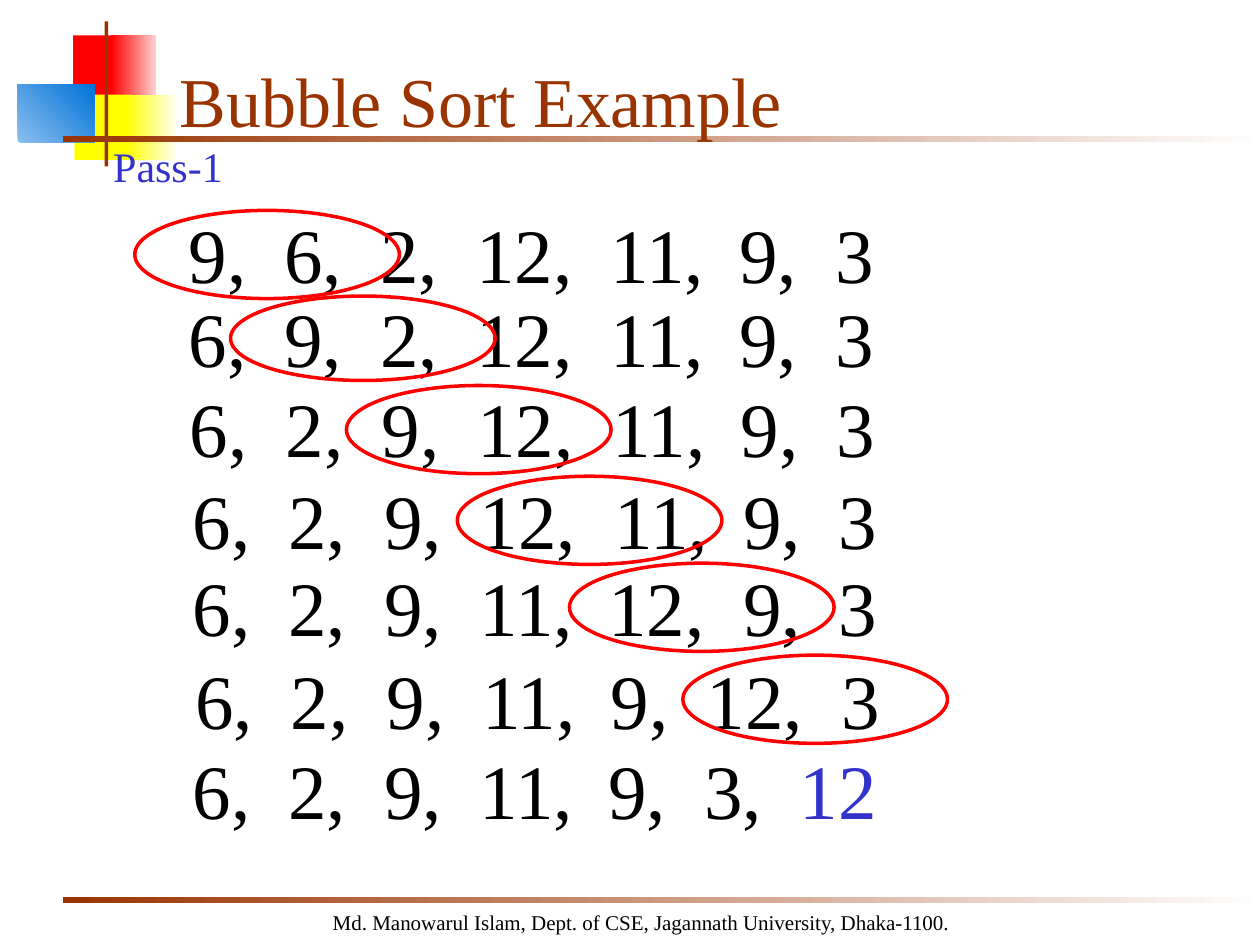
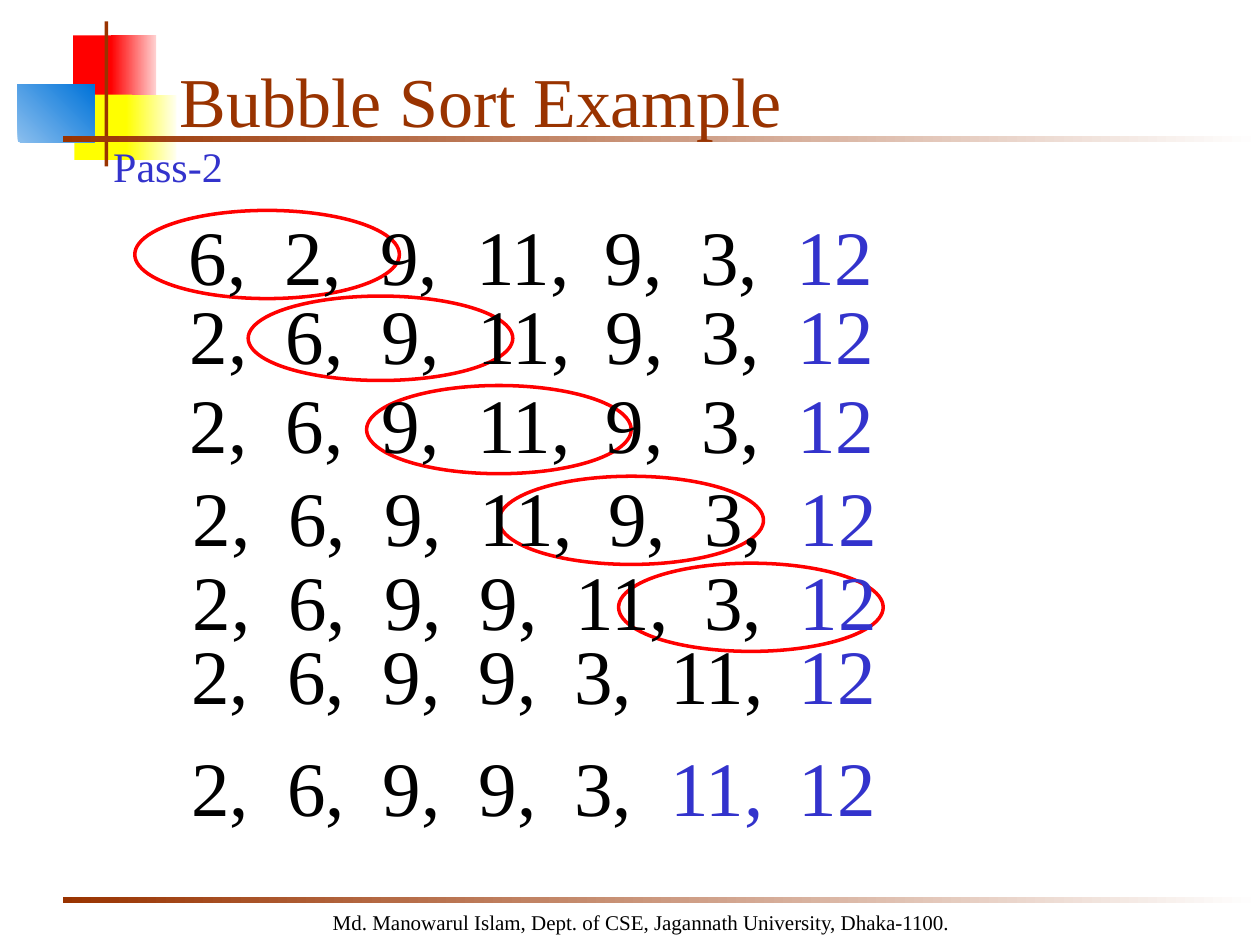
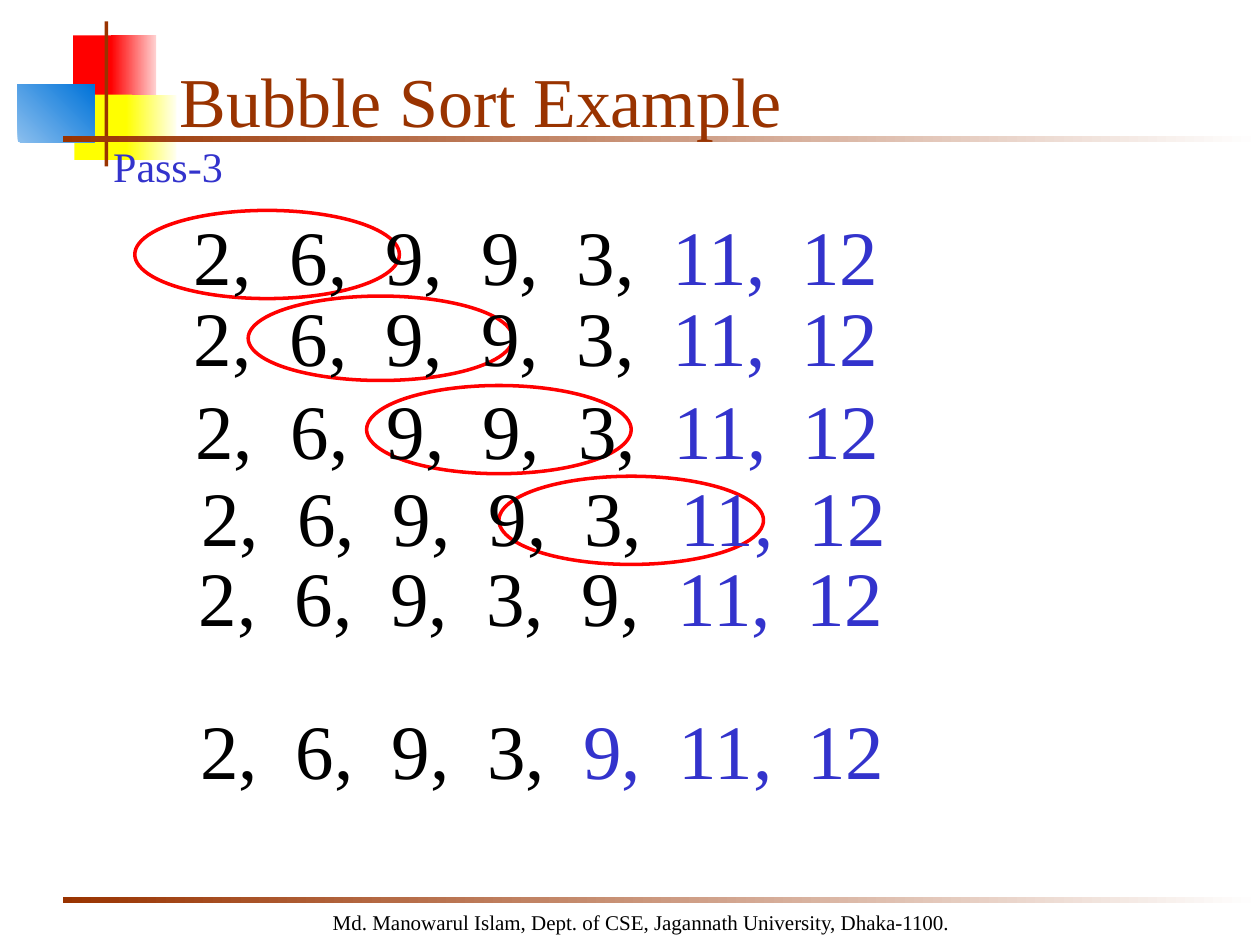
from itertools import accumulate

from lxml.etree import SubElement
from pptx import Presentation
from pptx.dml.color import RGBColor as Rgb
from pptx.enum.shapes import MSO_SHAPE as Shape
from pptx.enum.text import MSO_ANCHOR as Anchor, PP_ALIGN as Align
from pptx.oxml.ns import qn
from pptx.util import Inches, Pt

COLORS = {
    "brown": "993300", "white": "FFFFFF", "black": "000000", "blue": "3333CC",
    "red": "FF0000", "pink": "FFD1D1", "yellow": "FFFF00", "cream": "FFFFF0",
    "sky": "8BBFEE", "azure": "0073D9",
}
FONT = "Times New Roman"
STYLES = {
    "title": {"size": Pt(40), "color": "brown"},
    "pass": {"size": Pt(24), "color": "blue"},
    "unsorted": {"size": Pt(44), "color": "black"},
    "sorted": {"size": Pt(44), "color": "blue"},
    "footer": {"size": Pt(12), "color": "black"},
}

TITLE = "Bubble Sort Example"
FOOTER = "Md. Manowarul Islam, Dept. of CSE, Jagannath University, Dhaka-1100."

# Box, start colour, end colour (None for a plain fill), angle
DECOR = [
    ((0.58, 0.28, 0.35, 0.52), "red", None, 0),
    ((0.88, 0.28, 0.36, 0.52), "red", "pink", 0),
    ((0.59, 0.75, 0.46, 0.52), "yellow", None, 0),
    ((1, 0.75, 0.4, 0.52), "yellow", "cream", 0),
    ((0.14, 0.67, 0.61, 0.46), "sky", "azure", 45),
    ((0.83, 0.17, 0.03, 1.15), "brown", None, 0),
    ((0.5, 1.08, 9.5, 0.05), "brown", "white", 0),
    ((0.5, 7.12, 9.5, 0.05), "brown", "white", 0),
]

# Top and height of the ring on each row
RING_SPANS = [(1.67, 0.7), (2.35, 0.67), (3.06, 0.7),
              (3.78, 0.7), (4.47, 0.7), (5.2, 0.7)]

# Each row: left, top, numbers, how many at the end are in final place
PASSES = [
    {"name": "Pass-1", "rings_on_top": True,
     "ring_lefts": [1.07, 1.83, 2.75, 3.63, 4.52, 5.42],
     "rows": [(1.4, 1.59, "9 6 2 12 11 9 3", 0),
              (1.4, 2.26, "6 9 2 12 11 9 3", 0),
              (1.41, 2.97, "6 2 9 12 11 9 3", 0),
              (1.43, 3.7, "6 2 9 12 11 9 3", 0),
              (1.43, 4.39, "6 2 9 11 12 9 3", 0),
              (1.45, 5.13, "6 2 9 11 9 12 3", 0),
              (1.43, 5.84, "6 2 9 11 9 3 12", 1)]},
    {"name": "Pass-2", "rings_on_top": False,
     "ring_lefts": [1.07, 1.97, 2.91, 3.96, 4.91],
     "rows": [(1.4, 1.61, "6 2 9 11 9 3 12", 1),
              (1.41, 2.23, "2 6 9 11 9 3 12", 1),
              (1.41, 2.94, "2 6 9 11 9 3 12", 1),
              (1.43, 3.68, "2 6 9 11 9 3 12", 1),
              (1.43, 4.34, "2 6 9 9 11 3 12", 1),
              (1.42, 4.93, "2 6 9 9 3 11 12", 1),
              (1.42, 5.82, "2 6 9 9 3 11 12", 2)]},
    {"name": "Pass-3", "rings_on_top": False,
     "ring_lefts": [1.07, 1.97, 2.91, 3.96],
     "rows": [(1.44, 1.61, "2 6 9 9 3 11 12", 2),
              (1.44, 2.25, "2 6 9 9 3 11 12", 2),
              (1.45, 2.99, "2 6 9 9 3 11 12", 2),
              (1.5, 3.68, "2 6 9 9 3 11 12", 2),
              (1.48, 4.31, "2 6 9 3 9 11 12", 2),
              (1.49, 5.53, "2 6 9 3 9 11 12", 3)]},
]


def rgb(name):
    return Rgb.from_string(COLORS[name])


def add_block(page, box, start, end, angle):
    block = page.shapes.add_shape(Shape.RECTANGLE, *map(Inches, box))
    block.shadow.inherit = False
    block.line.fill.background()
    if end is None:
        block.fill.solid()
        block.fill.fore_color.rgb = rgb(start)
        return
    block.fill.gradient()
    block.fill.gradient_angle = angle
    for stop, color, position in zip(block.fill.gradient_stops, (start, end), (0, 1)):
        stop.color.rgb = rgb(color)
        stop.position = position


def add_text(page, box, pieces, anchor=Anchor.TOP, align=Align.LEFT, tabs=()):
    """Write (text, style name) pieces as one paragraph in a box."""
    frame = page.shapes.add_textbox(*map(Inches, box)).text_frame
    frame.word_wrap = True
    frame.vertical_anchor = anchor
    para = frame.paragraphs[0]
    para.alignment = align
    if tabs:
        stops = SubElement(para._p.get_or_add_pPr(), qn("a:tabLst"))
        for tab in tabs:
            SubElement(stops, qn("a:tab"), pos=str(Inches(tab)), algn="l")
    for text, style in pieces:
        span = para.add_run()
        span.text = text
        span.font.name = FONT
        span.font.size = STYLES[style]["size"]
        span.font.color.rgb = rgb(STYLES[style]["color"])


def number_pitch(number):
    """Distance from the start of a number to the start of the next."""
    if number == "11":  # kerned pair
        return 1.02
    return 0.76 if len(number) == 1 else 1.07


def add_number_row(page, left, top, numbers, sorted_count):
    numbers = numbers.split()
    split = len(numbers) - sorted_count
    pieces = [(",\t".join(numbers[:split]), "unsorted")]
    if sorted_count:
        pieces = [(pieces[0][0] + ",\t", "unsorted"),
                  (",\t".join(numbers[split:]), "sorted")]
    tabs = accumulate(map(number_pitch, numbers[:-1]))
    add_text(page, (left, top, 6.47, 0.84), pieces, tabs=list(tabs))


def add_ring(page, left, top, height):
    ring = page.shapes.add_shape(Shape.OVAL, *map(Inches, (left, top, 2.1, height)))
    ring.shadow.inherit = False
    ring.fill.background()
    ring.line.color.rgb = rgb("red")
    ring.line.width = Pt(2)


def add_frame(page):
    """Coloured squares, rules, footer and title shared by all slides."""
    for block in DECOR:
        add_block(page, *block)
    add_text(page, (0.38, 7.17, 9.42, 0.3), [(FOOTER, "footer")], align=Align.CENTER)
    add_text(page, (1.33, 0.25, 8.52, 0.92), [(TITLE, "title")], anchor=Anchor.BOTTOM)


def add_rows(page, sort_pass):
    for row in sort_pass["rows"]:
        add_number_row(page, *row)


def add_rings(page, sort_pass):
    for left, span in zip(sort_pass["ring_lefts"], RING_SPANS):
        add_ring(page, left, *span)


def add_pass_slide(deck, sort_pass):
    page = deck.slides.add_slide(deck.slide_layouts[6])
    add_frame(page)
    layers = [add_rings, add_rows]
    if sort_pass["rings_on_top"]:
        layers.reverse()
    for add_layer in layers:
        add_layer(page, sort_pass)
    add_text(page, (0.8, 1.07, 2.05, 0.5), [(sort_pass["name"], "pass")])


def main():
    deck = Presentation()
    deck.slide_width, deck.slide_height = Inches(10), Inches(7.5)
    for sort_pass in PASSES:
        add_pass_slide(deck, sort_pass)
    deck.save("out.pptx")


if __name__ == "__main__":
    main()
